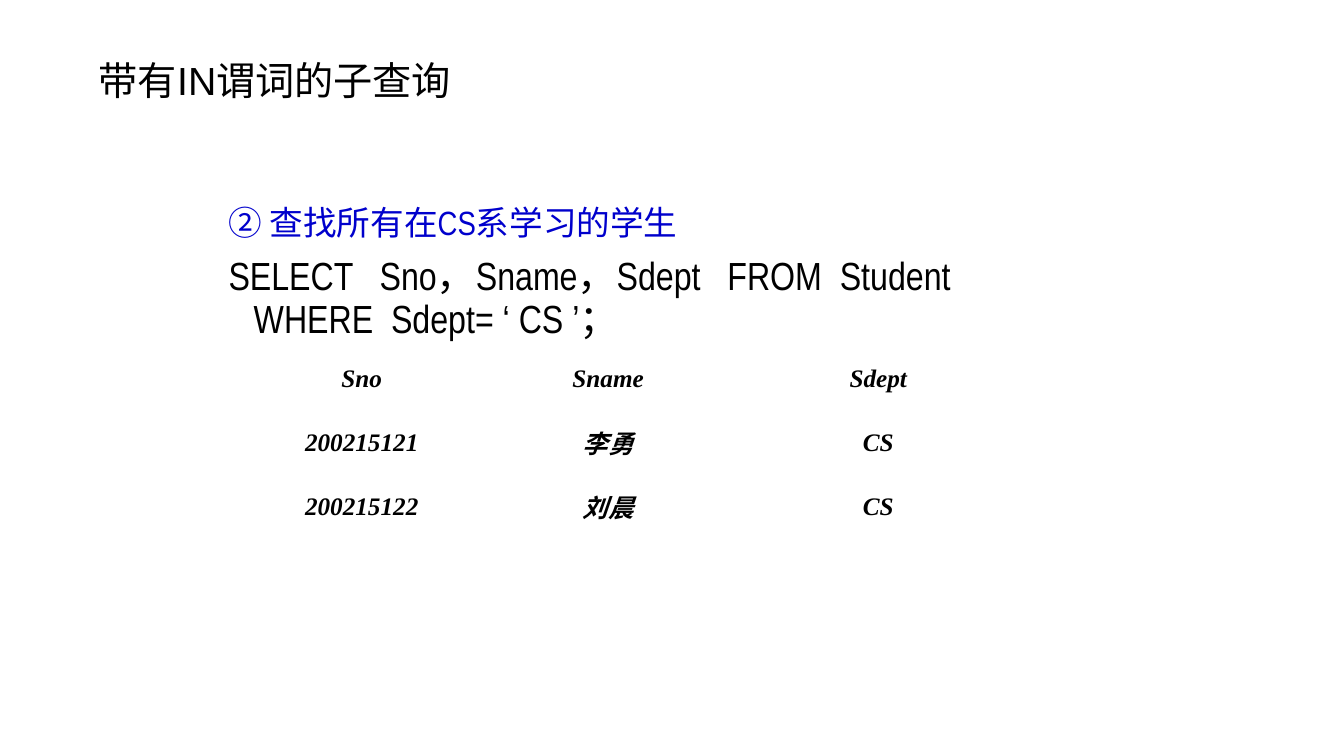
from pptx import Presentation
from pptx.dml.color import RGBColor
from pptx.enum.text import MSO_ANCHOR, MSO_AUTO_SIZE, PP_ALIGN
from pptx.util import Pt

BLACK = RGBColor(0x00, 0x00, 0x00)
BLUE = RGBColor(0x00, 0x00, 0xCC)


def add_run(paragraph, text, font, size, color):
    run = paragraph.add_run()
    run.text = text
    run.font.name = font
    run.font.size = Pt(size)
    run.font.color.rgb = color
    return run


def set_indent(paragraph, indent):
    properties = paragraph._p.get_or_add_pPr()
    properties.set("marL", str(Pt(indent)))
    properties.set("indent", str(-Pt(indent)))


deck = Presentation()
deck.slide_width = Pt(960)
deck.slide_height = Pt(540)
slide = deck.slides.add_slide(deck.slide_layouts[5])

title = slide.shapes.title
title.left, title.top, title.width, title.height = Pt(63.4), Pt(35.3), Pt(401.8), Pt(48.2)
title.text_frame.auto_size = MSO_AUTO_SIZE.NONE
title.text_frame.vertical_anchor = MSO_ANCHOR.MIDDLE
heading = title.text_frame.paragraphs[0]
heading.alignment = PP_ALIGN.LEFT
heading.line_spacing = 0.9
add_run(heading, "带有IN谓词的子查询", "Arial", 28, BLACK)

query = slide.shapes.add_textbox(Pt(156.2), Pt(144), Pt(588.2), Pt(109.4)).text_frame
query.word_wrap = True
query_lines = [
    ("② 查找所有在CS系学习的学生", 24, BLUE),
    ("SELECT   Sno，Sname，Sdept   FROM  Student WHERE  Sdept= ‘ CS ’；", 28, BLACK),
]
for number, (text, size, color) in enumerate(query_lines):
    line = query.add_paragraph() if number else query.paragraphs[0]
    line.line_spacing = 0.9
    line.space_before = Pt(10)
    set_indent(line, 18)
    add_run(line, text, "Arial Narrow", size, color)

students = [
    ("Sno", "Sname", "Sdept"),
    ("200215121", "李勇", "CS"),
    ("200215122", "刘晨", "CS"),
]
column_widths = [164, 188, 198]
result = slide.shapes.add_table(
    len(students), len(column_widths), Pt(176.4), Pt(247.7), Pt(sum(column_widths)), Pt(137)
).table
result.first_row = False
result.horz_banding = False
for column, width in zip(result.columns, column_widths):
    column.width = Pt(width)

for row, student in enumerate(students):
    for column, value in enumerate(student):
        cell = result.cell(row, column)
        cell.fill.background()
        cell.vertical_anchor = MSO_ANCHOR.MIDDLE
        entry = cell.text_frame.paragraphs[0]
        entry.alignment = PP_ALIGN.CENTER
        set_indent(entry, 27)
        run = add_run(entry, value, "Times New Roman", 18, BLACK)
        run.font.bold = True
        run.font.italic = True

deck.save("out.pptx")
